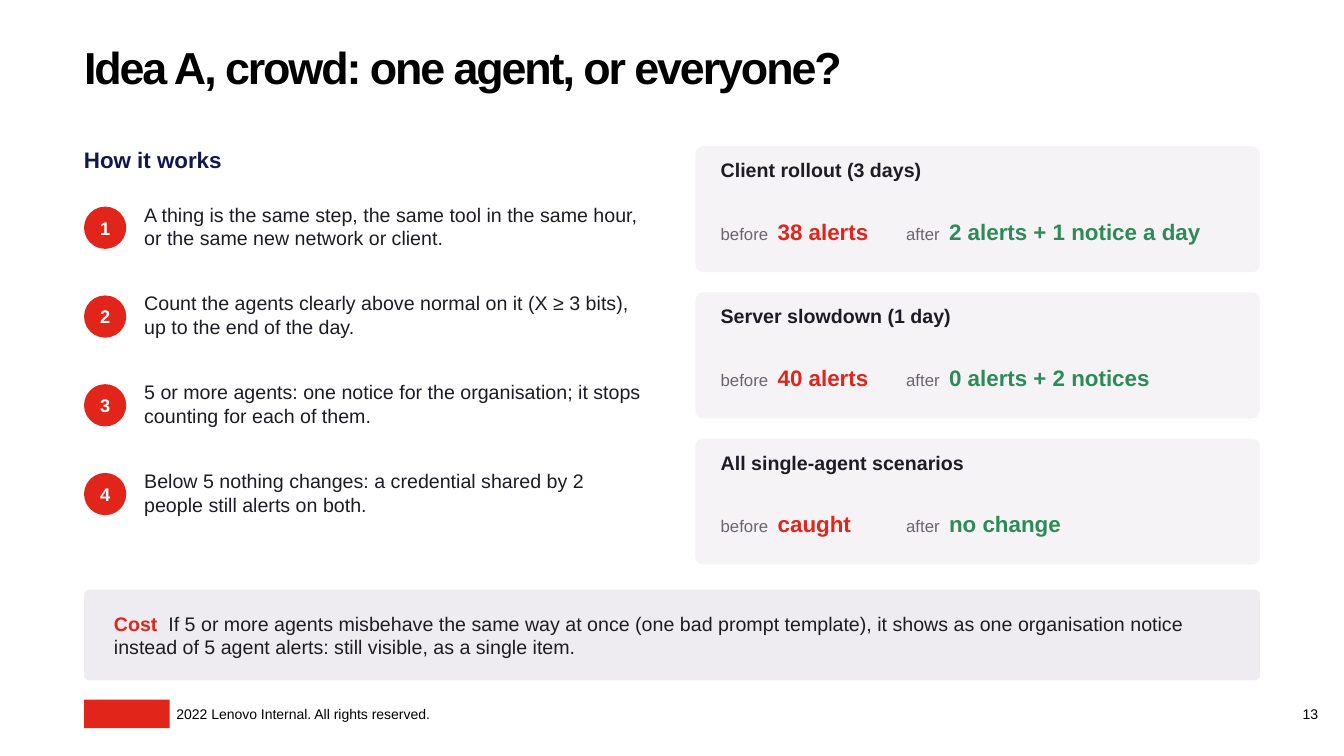
from dataclasses import dataclass
from typing import NamedTuple

from lxml import etree
from pptx import Presentation
from pptx.dml import color as col
from pptx.enum import shapes as shp, text as txt
from pptx.oxml import ns
from pptx.util import Pt


@dataclass(frozen=True)
class Theme:
    font: str = "Arial"
    black: str = "000000"
    white: str = "FFFFFF"
    ink: str = "1E1B24"
    grey: str = "6B6470"
    navy: str = "11184F"
    red: str = "E1251B"
    green: str = "2E8B57"
    card: str = "F5F3F5"
    band: str = "EFECF1"
    title: float = 32
    head: float = 16
    body: float = 14
    badge: float = 13
    label: float = 12
    foot: float = 10


class Box(NamedTuple):
    left: float
    top: float
    width: float
    height: float


class Run(NamedTuple):
    text: str
    size: float
    color: str
    bold: bool = False


class Card(NamedTuple):
    head: str
    before: str
    after: str


T = Theme()
TOP = txt.MSO_ANCHOR.TOP
MID = txt.MSO_ANCHOR.MIDDLE
EDGE = 60
WIDE = 840
STEP_TOP = 147.6
STEP_GAP = 63.4
CARD_TOP = 104.4
CARD_GAP = 104.4

STEPS = [
    "A thing is the same step, the same tool in the same hour, or the same new network or client.",
    "Count the agents clearly above normal on it (X ≥ 3 bits), up to the end of the day.",
    "5 or more agents: one notice for the organisation; it stops counting for each of them.",
    "Below 5 nothing changes: a credential shared by 2 people still alerts on both.",
]
CARDS = [
    Card("Client rollout (3 days)", "38 alerts", "2 alerts + 1 notice a day"),
    Card("Server slowdown (1 day)", "40 alerts", "0 alerts + 2 notices"),
    Card("All single-agent scenarios", "caught", "no change"),
]

deck = Presentation()
deck.slide_width, deck.slide_height = Pt(960), Pt(540)
slide = deck.slides.add_slide(deck.slide_layouts[6])


def write(shape, runs: list[Run], anchor=TOP, center: bool = False, tab: float = 0):
    frame = shape.text_frame
    frame.word_wrap = True
    frame.vertical_anchor = anchor
    frame.margin_left = frame.margin_right = frame.margin_top = frame.margin_bottom = 0
    para = frame.paragraphs[0]
    para.alignment = txt.PP_ALIGN.CENTER if center else txt.PP_ALIGN.LEFT
    if tab:
        tabs = etree.SubElement(para._p.get_or_add_pPr(), ns.qn("a:tabLst"))
        etree.SubElement(tabs, ns.qn("a:tab"), pos=str(int(Pt(tab))), algn="l")
    for part in runs:
        run = para.add_run()
        run.text = part.text
        run.font.name = T.font
        run.font.size = Pt(part.size)
        run.font.bold = part.bold
        run.font.color.rgb = col.RGBColor.from_string(part.color)
    return para


def label(box: Box, runs: list[Run], anchor=TOP, center: bool = False, tab: float = 0):
    shape = slide.shapes.add_textbox(*map(Pt, box))
    return write(shape, runs, anchor, center, tab)


def block(kind: shp.MSO_SHAPE, box: Box, fill: str):
    shape = slide.shapes.add_shape(kind, *map(Pt, box))
    shape.shadow.inherit = False
    shape.fill.solid()
    shape.fill.fore_color.rgb = col.RGBColor.from_string(fill)
    shape.line.fill.background()
    if kind == shp.MSO_SHAPE.ROUNDED_RECTANGLE:
        shape.adjustments[0] = 0.06
    return shape


def draw_step(spot: int, words: str) -> None:
    top = STEP_TOP + spot * STEP_GAP
    badge = block(shp.MSO_SHAPE.OVAL, Box(EDGE, top, 30.2, 30.2), T.red)
    write(badge, [Run(str(spot + 1), T.badge, T.white, True)], MID, True)
    label(Box(103, top - 2.9, 360, STEP_GAP), [Run(words, T.body, T.ink)])


def draw_card(spot: int, card: Card) -> None:
    top = CARD_TOP + spot * CARD_GAP
    block(shp.MSO_SHAPE.ROUNDED_RECTANGLE, Box(496.8, top, 403.2, 90), T.card)
    label(Box(514.8, top + 8.6, 367.2, 28.8), [Run(card.head, T.body, T.ink, True)])
    for name, value, left, width, tab, tint in (
        ("before", card.before, 514.8, 132.5, 40.7, T.red),
        ("after", card.after, 647.3, 234.7, 30.7, T.green),
    ):
        label(
            Box(left, top + 37.4, width, 46.8),
            [Run(name + "\t", T.label, T.grey), Run(value, T.head, tint, True)],
            MID, tab=tab,
        )


def main() -> None:
    block(shp.MSO_SHAPE.RECTANGLE, Box(EDGE, 499.8, 61.2, 20.4), T.red)
    label(Box(126, 504, 324, 12.2),
          [Run("2022 Lenovo Internal. All rights reserved.", T.foot, T.black)])
    label(Box(918.7, 504, 34.6, 12.2), [Run("13", T.foot, T.black)], MID, True)

    title = label(Box(EDGE, 34.6, WIDE, 33.1),
                  [Run("Idea A, crowd: one agent, or everyone?", T.title, T.black, True)])
    title.line_spacing = 0.85
    title.runs[0]._r.get_or_add_rPr().set("spc", "-150")

    label(Box(EDGE, CARD_TOP, 403.2, 36), [Run("How it works", T.head, T.navy, True)])
    for spot, words in enumerate(STEPS):
        draw_step(spot, words)
    for spot, card in enumerate(CARDS):
        draw_card(spot, card)

    block(shp.MSO_SHAPE.ROUNDED_RECTANGLE, Box(EDGE, 421.2, WIDE, 64.8), T.band)
    label(
        Box(81.4, 421.2, 797, 64.8),
        [
            Run("Cost\t", T.body, T.red, True),
            Run("If 5 or more agents misbehave the same way at once (one bad prompt "
                "template), it shows as one organisation notice instead of 5 agent "
                "alerts: still visible, as a single item.", T.body, T.ink),
        ],
        MID, tab=38.9,
    )
    deck.save("out.pptx")


if __name__ == "__main__":
    main()
